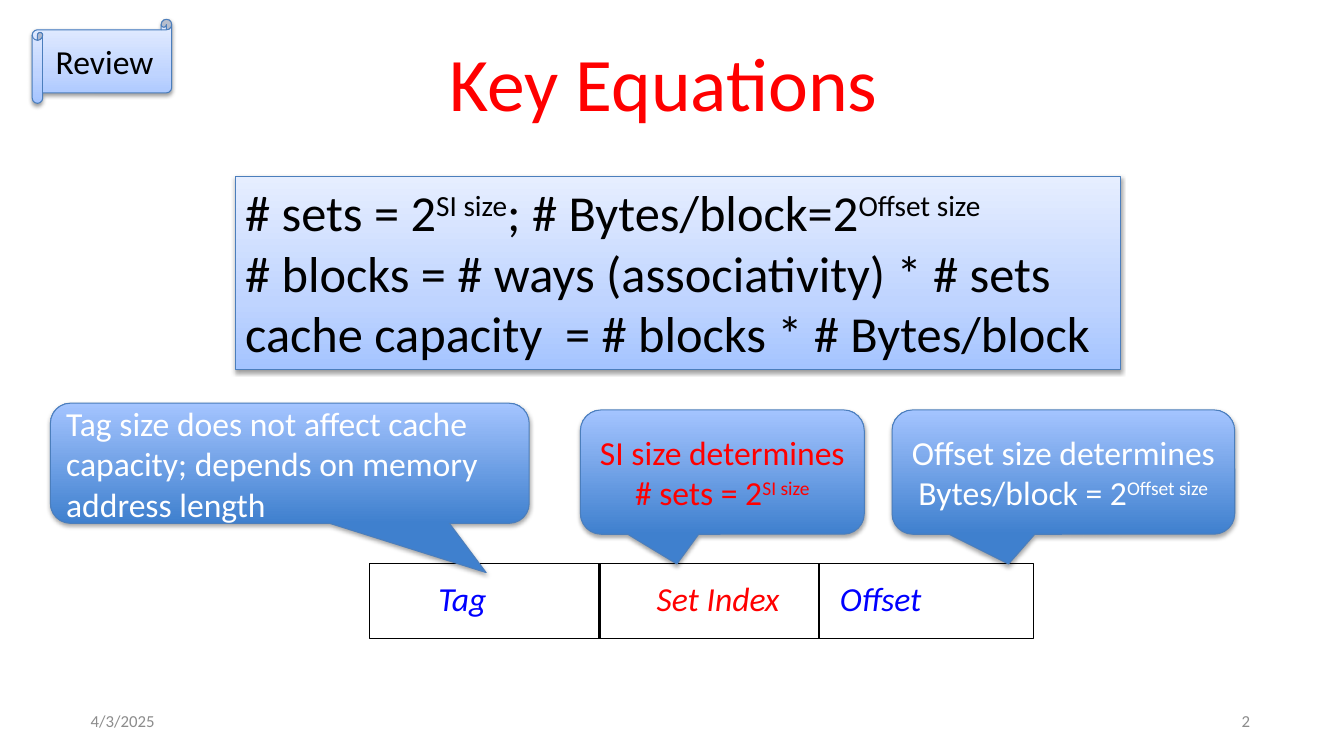
from dataclasses import dataclass
from lxml.etree import SubElement
from pptx import Presentation
from pptx.dml.color import RGBColor
from pptx.enum.shapes import MSO_CONNECTOR, MSO_SHAPE
from pptx.enum.text import MSO_ANCHOR, PP_ALIGN
from pptx.oxml import parse_xml
from pptx.oxml.ns import nsdecls, qn
from pptx.util import Inches, Pt

# Grid of the slide: square cells
COLS, ROWS = 160, 90
WIDTH, HEIGHT = Inches(13.333), Inches(7.5)


@dataclass(frozen=True)
class Theme:
    font: str = "Calibri"
    black: str = "000000"
    white: str = "FFFFFF"
    red: str = "FF0000"
    blue: str = "0000FF"
    gray: str = "8C8C8C"
    edge: str = "4B7EBC"
    pale: tuple = ((0, "A4C4FF"), (35, "BFD4FF"), (100, "E6EEFF"))
    deep: tuple = ((0, "3F80CE"), (100, "A4C4FF"))
    title: int = 54
    main: int = 36
    body: int = 24
    small: int = 12


THEME = Theme()
LEFT, MID, RIGHT = PP_ALIGN.LEFT, PP_ALIGN.CENTER, PP_ALIGN.RIGHT


def across(cols):
    return round(WIDTH * cols / COLS)


def down(rows):
    return round(HEIGHT * rows / ROWS)


def place(left, top, width, height):
    return across(left), down(top), across(width), down(height)


def write(shape, lines, size, color, align=LEFT, italic=False,
          anchor=MSO_ANCHOR.MIDDLE, wrap=True):
    """Fill a shape with lines; every second part of a line, split at ^, is raised."""
    frame = shape.text_frame
    frame.word_wrap, frame.vertical_anchor = wrap, anchor
    style = {"name": THEME.font, "size": Pt(size), "italic": italic}
    for i, line in enumerate(lines):
        para = frame.add_paragraph() if i else frame.paragraphs[0]
        para.alignment = align
        for j, part in enumerate(line.split("^")):
            run = para.add_run()
            run.text = part
            for key, value in style.items():
                setattr(run.font, key, value)
            run.font.color.rgb = RGBColor.from_string(color)
            if j % 2:
                run._r.get_or_add_rPr().set("baseline", "30000")


def label(slide, box, text, size, color, **format):
    write(slide.shapes.add_textbox(*place(*box)), [text], size, color, **format)


def outline(line, color, width):
    line.color.rgb = RGBColor.from_string(color)
    line.width = Pt(width)


def panel(slide, kind, box, stops, alpha, dist):
    """Add a preset shape with an upward gradient and a soft shadow."""
    shape = slide.shapes.add_shape(kind, *place(*box))
    outline(shape.line, THEME.edge, 0.75)
    marks = "".join(f'<a:gs pos="{pos * 1000}"><a:srgbClr val="{color}"/></a:gs>'
                    for pos, color in stops)
    props = shape._element.spPr
    props.find(qn("a:prstGeom")).addnext(parse_xml(
        f'<a:gradFill {nsdecls("a")} rotWithShape="1"><a:gsLst>{marks}</a:gsLst>'
        '<a:lin ang="16200000" scaled="0"/></a:gradFill>'))
    props.append(parse_xml(
        f'<a:effectLst {nsdecls("a")}><a:outerShdw blurRad="{Pt(3.1)}" '
        f'dist="{Pt(dist)}" dir="5400000" rotWithShape="0">'
        f'<a:srgbClr val="{THEME.black}"><a:alpha val="{alpha * 1000}"/></a:srgbClr>'
        '</a:outerShdw></a:effectLst>'))
    return shape


def card(slide, kind, box):
    return panel(slide, kind, box, THEME.pale, 38, 1.6)


def callout(slide, box, tip, text, color, align=MID):
    shape = panel(slide, MSO_SHAPE.ROUNDED_RECTANGULAR_CALLOUT, box,
                  THEME.deep, 35, 1.8)
    shape.adjustments[0], shape.adjustments[1] = tip
    write(shape, [text], THEME.body, color, align)


def divider(slide, col, top, foot):
    line = slide.shapes.add_connector(MSO_CONNECTOR.STRAIGHT, across(col), down(top),
                                      across(col), down(foot))
    outline(line.line, THEME.black, 2)
    SubElement(line._element.spPr, qn("a:effectLst"))


def address(slide):
    """Draw the address field with its three parts."""
    top, high = 67.1, 8.9
    field = slide.shapes.add_shape(MSO_SHAPE.RECTANGLE, *place(44, top, 79, high))
    field.shadow.inherit = False
    field.fill.background()
    outline(field.line, THEME.black, 0.75)
    for col in (71.4, 97.5):
        divider(slide, col, top, top + high)
    for col, width, text, color in ((51, 8.3, "Tag", THEME.blue),
                                    (77, 17.2, "Set Index", THEME.red),
                                    (98.8, 12.4, "Offset", THEME.blue)):
        label(slide, (col, 68.2, width, 6), text, THEME.body, color,
              italic=True, anchor=MSO_ANCHOR.TOP, wrap=False)


def main():
    deck = Presentation()
    deck.slide_width, deck.slide_height = WIDTH, HEIGHT
    slide = deck.slides.add_slide(deck.slide_layouts[6])

    # Title, address field and footer
    label(slide, (25, 6.5, 108, 6.4), "Key Equations", THEME.title, THEME.red, align=MID)
    address(slide)
    for col, text, align in ((9.6, "4/3/2025", LEFT), (122, "2", RIGHT)):
        label(slide, (col, 83.4, 28, 4.8), text, THEME.small, THEME.gray, align=align)

    # Equations
    sums = card(slide, MSO_SHAPE.RECTANGLE, (28, 21, 105.4, 23))
    write(sums, ["# sets = 2^SI size^; # Bytes/block=2^Offset size",
                 "# blocks = # ways (associativity) * # sets",
                 "cache capacity  = # blocks * # Bytes/block"],
          THEME.main, THEME.black, anchor=MSO_ANCHOR.TOP)

    # Callouts on the parts of the address
    tip = (-0.16, 0.74)
    callout(slide, (69.1, 48.8, 33.8, 14.8), tip,
            "SI size determines # sets = 2^SI size", THEME.red)
    callout(slide, (106.2, 48.8, 40.8, 14.8), tip,
            "Offset size determines Bytes/block = 2^Offset size", THEME.white)
    callout(slide, (6, 48, 57, 14.3), (0.41, 0.91),
            "Tag size does not affect cache capacity; depends on memory address length",
            THEME.white, LEFT)

    # Review scroll
    scroll = card(slide, MSO_SHAPE.HORIZONTAL_SCROLL, (3.84, 2.3, 16.6, 10))
    write(scroll, ["Review"], THEME.body, THEME.black, MID)

    deck.save("out.pptx")


if __name__ == "__main__":
    main()
